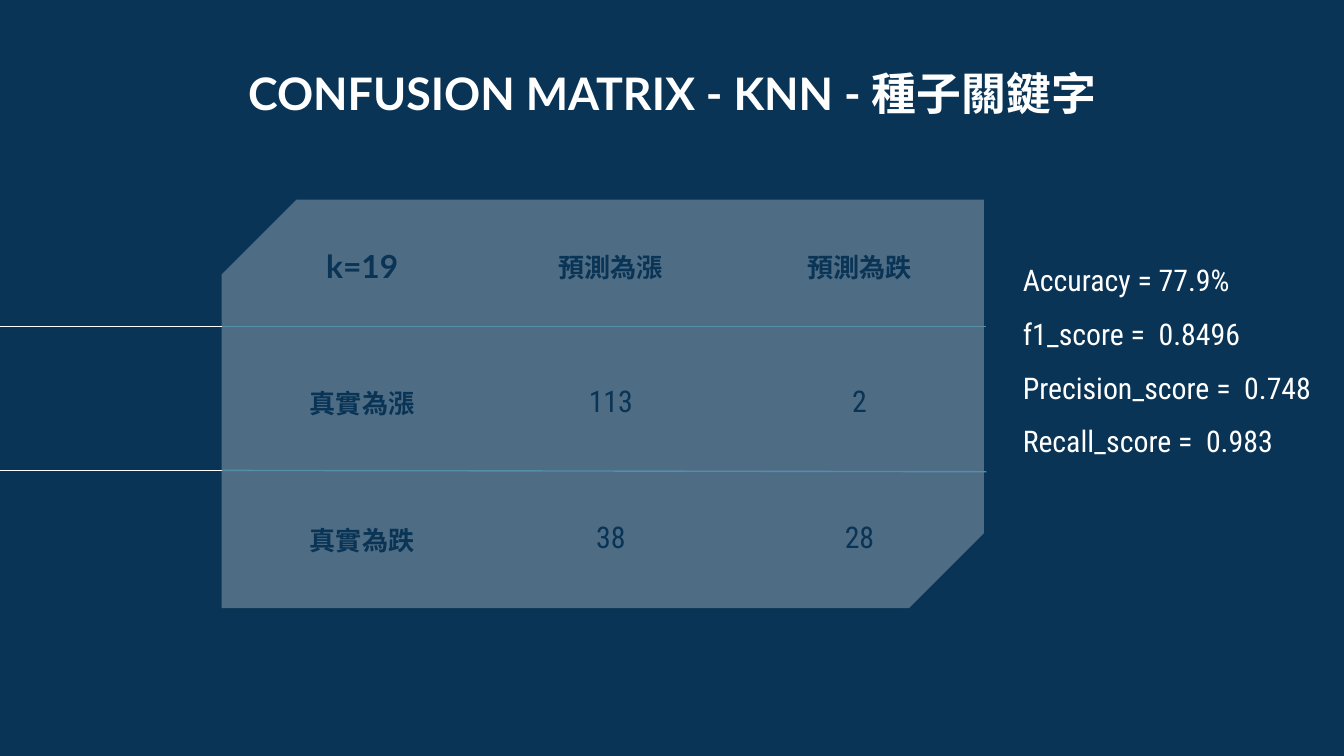
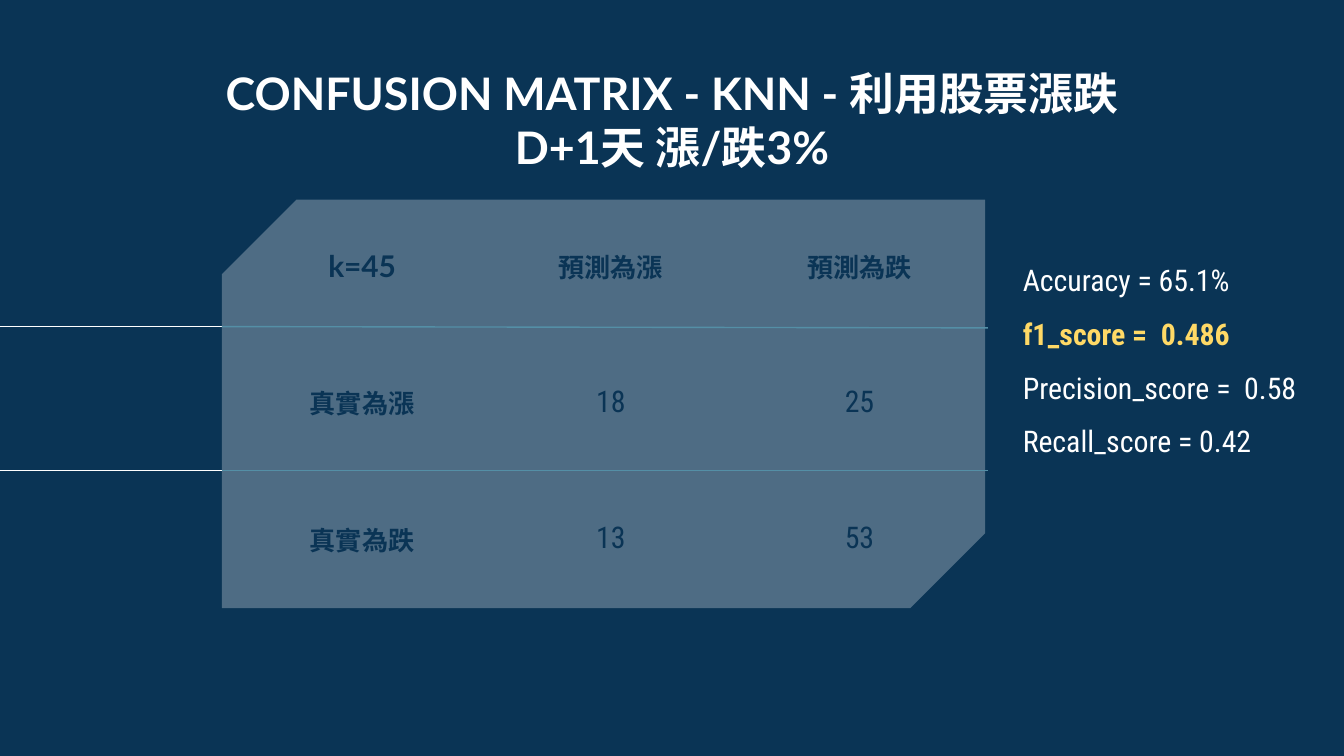
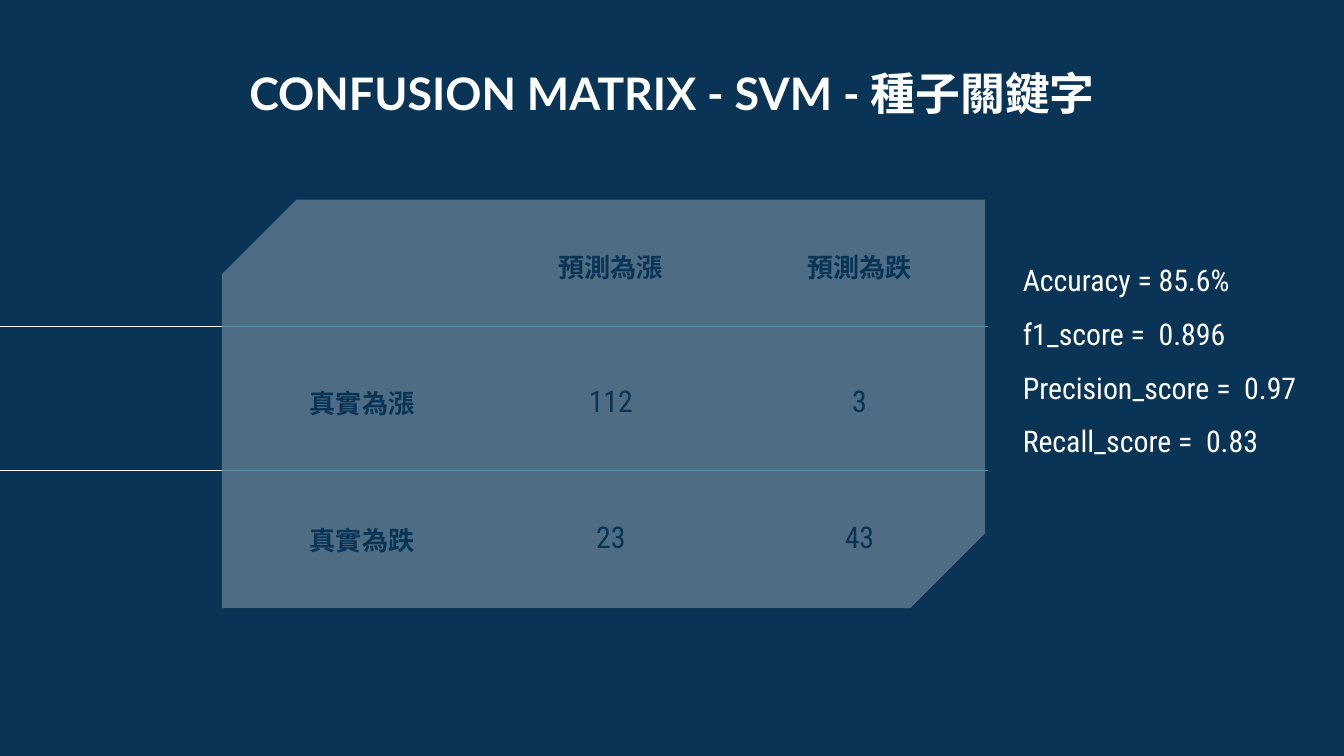
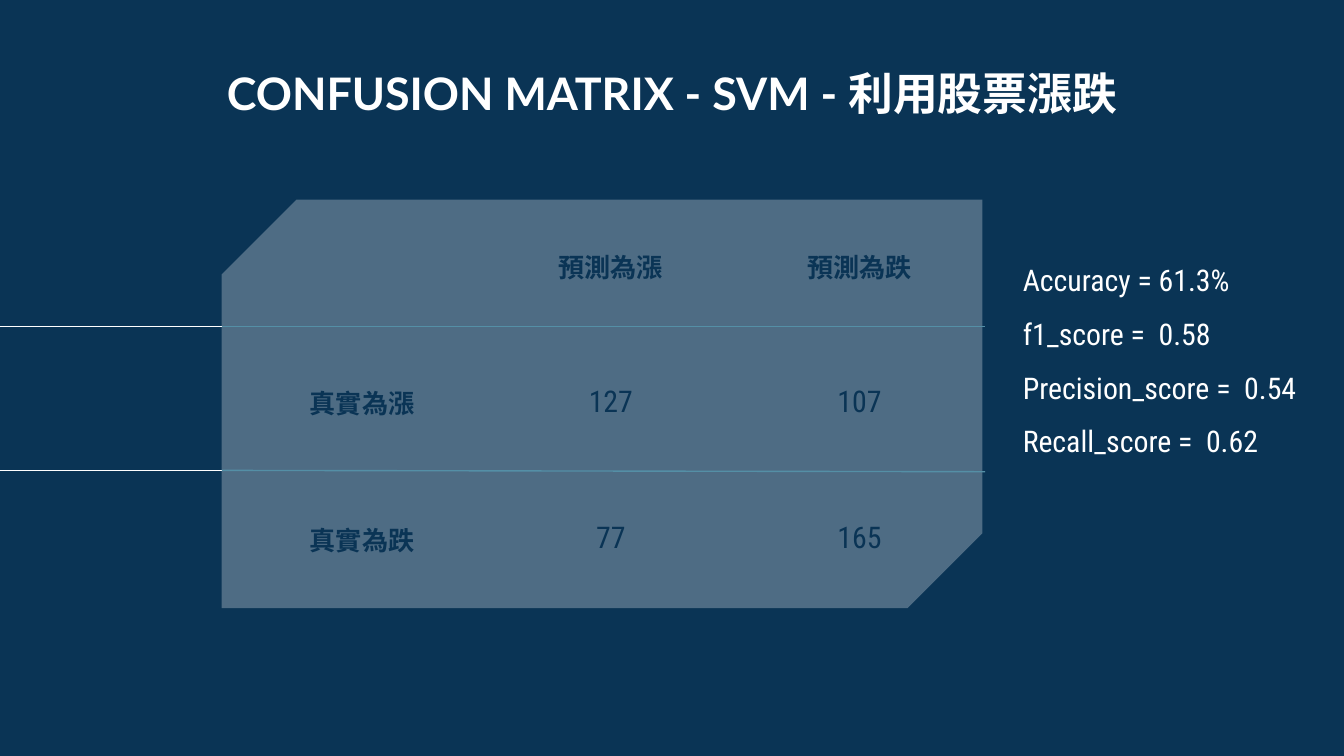
"""Build four confusion-matrix slides for the KNN and SVM classifiers."""
from dataclasses import dataclass

from lxml import etree
from pptx import Presentation
from pptx.dml.color import RGBColor
from pptx.enum.shapes import MSO_CONNECTOR, MSO_SHAPE
from pptx.enum.text import MSO_ANCHOR, MSO_AUTO_SIZE, PP_ALIGN
from pptx.oxml.ns import qn
from pptx.util import Emu, Pt

PX = 4572
SLIDE_W, SLIDE_H = 2000, 1125
INSET = 20

NAVY, WHITE, TEAL, YELLOW = "0A3455", "FFFFFF", "548FA6", "FFD966"
HEAD_FONT, BODY_FONT = "Lato", "Roboto Condensed"
NO_TABLE_STYLE = "{2D5ABB26-0587-4C30-8999-92F81FD0307C}"

STRAIGHT = MSO_CONNECTOR.STRAIGHT
SNIPPED = MSO_SHAPE.SNIP_2_DIAG_RECTANGLE
TOP, MIDDLE = MSO_ANCHOR.TOP, MSO_ANCHOR.MIDDLE
LEFT, CENTER = PP_ALIGN.LEFT, PP_ALIGN.CENTER
NO_AUTOFIT = MSO_AUTO_SIZE.NONE

PANEL_X, PANEL_Y, PANEL_H = 330, 297, 608
TABLE_X, TABLE_Y, COL_W, ROW_H = 354, 294, 370, 203
UPPER_Y, LOWER_Y = 486, 700
RULE_OVERHANG = 4


@dataclass(frozen=True)
class Style:
    size: int
    font: str
    color: str
    bold: bool = False


TITLE = Style(24, HEAD_FONT, WHITE, True)
LABEL = Style(14, HEAD_FONT, NAVY, True)
COUNT = Style(16, BODY_FONT, NAVY)
METRIC = Style(16, BODY_FONT, WHITE)
KEY_METRIC = Style(16, BODY_FONT, YELLOW, True)


@dataclass(frozen=True)
class Matrix:
    title: str
    counts: tuple[tuple[int, int], tuple[int, int]]
    metrics: tuple[str, str, str, str]
    panel_w: int
    corner: str = ""
    corner_size: int = 16
    metrics_w: int = 460
    metrics_h: int = 284
    upper_drop: int = 0
    lower_drop: int = 0
    key_metric: int | None = None


MATRICES = (
    Matrix("CONFUSION MATRIX - KNN - 種子關鍵字", ((113, 2), (38, 28)),
           ("Accuracy = 77.9%", "f1_score =  0.8496",
            "Precision_score =  0.748", "Recall_score =  0.983"),
           1134, corner="k=19", corner_size=17, metrics_w=498, metrics_h=374,
           lower_drop=2),
    Matrix("CONFUSION MATRIX - KNN - 利用股票漲跌\nD+1天 漲/跌3%",
           ((18, 25), (13, 53)),
           ("Accuracy = 65.1%", "f1_score =  0.486",
            "Precision_score =  0.58", "Recall_score = 0.42"),
           1136, corner="k=45", upper_drop=2, key_metric=1),
    Matrix("CONFUSION MATRIX - SVM - 種子關鍵字", ((112, 3), (23, 43)),
           ("Accuracy = 85.6%", "f1_score =  0.896",
            "Precision_score =  0.97", "Recall_score =  0.83"), 1136),
    Matrix("CONFUSION MATRIX - SVM - 利用股票漲跌", ((127, 107), (77, 165)),
           ("Accuracy = 61.3%", "f1_score =  0.58",
            "Precision_score =  0.54", "Recall_score =  0.62"),
           1132, lower_drop=2),
)


def px(*lengths: int) -> list[Emu]:
    return [Emu(n * PX) for n in lengths]


def rgb(color: str) -> RGBColor:
    return RGBColor.from_string(color)


def format_paragraph(p, style: Style, align=CENTER) -> None:
    p.alignment = align
    for r in p.runs:
        r.font.size = Pt(style.size)
        r.font.name = style.font
        r.font.bold = style.bold
        r.font.color.rgb = rgb(style.color)


def set_margins(box) -> None:
    (box.margin_left, box.margin_top,
     box.margin_right, box.margin_bottom) = px(*[INSET] * 4)


def fill_placeholder(sp, box: tuple[int, int, int, int], text: str):
    sp.left, sp.top, sp.width, sp.height = px(*box)
    tf = sp.text_frame
    tf.text = text
    tf.word_wrap = True
    tf.auto_size = NO_AUTOFIT
    tf.vertical_anchor = TOP
    set_margins(tf)
    return tf.paragraphs


def add_title(slide, text: str) -> None:
    for p in fill_placeholder(slide.shapes.title, (0, 78, SLIDE_W, 206), text):
        format_paragraph(p, TITLE)


def add_metrics(slide, matrix: Matrix) -> None:
    box = (1502, 343, matrix.metrics_w, matrix.metrics_h)
    paragraphs = fill_placeholder(slide.placeholders[1], box,
                                  "\n".join(matrix.metrics))
    for i, p in enumerate(paragraphs):
        p.line_spacing = 1.5
        p.space_before = Pt(0)
        style = KEY_METRIC if i == matrix.key_metric else METRIC
        format_paragraph(p, style, LEFT)


def add_panel(slide, width: int) -> None:
    sp = slide.shapes.add_shape(SNIPPED, *px(PANEL_X, PANEL_Y, width, PANEL_H))
    sp.shadow.inherit = False
    sp.adjustments[0], sp.adjustments[1] = 0.183, 0
    sp.fill.solid()
    sp.fill.fore_color.rgb = rgb(WHITE)
    color = sp._element.spPr.find(".//" + qn("a:srgbClr"))
    etree.SubElement(color, qn("a:alpha"), val="28000")
    sp.line.fill.background()


def clear_cell(cell) -> None:
    cell.fill.background()
    tc_pr = cell._tc.get_or_add_tcPr()
    for i, side in enumerate(("lnL", "lnR", "lnT", "lnB")):
        border = etree.Element(qn("a:" + side))
        etree.SubElement(border, qn("a:noFill"))
        tc_pr.insert(i, border)


def add_matrix_table(slide, matrix: Matrix) -> None:
    actual_up, actual_down = matrix.counts
    rows = ((matrix.corner, "預測為漲", "預測為跌"),
            ("真實為漲", *actual_up), ("真實為跌", *actual_down))
    frame = slide.shapes.add_table(
        3, 3, *px(TABLE_X, TABLE_Y, 3 * COL_W, 3 * ROW_H))
    table = frame.table
    table.first_row = table.horz_banding = False
    table._tbl.tblPr.find(qn("a:tableStyleId")).text = NO_TABLE_STYLE
    corner_style = Style(matrix.corner_size, HEAD_FONT, NAVY, True)
    for i, row in enumerate(rows):
        for j, value in enumerate(row):
            cell = table.cell(i, j)
            clear_cell(cell)
            cell.vertical_anchor = MIDDLE
            set_margins(cell)
            cell.text_frame.text = str(value)
            style = COUNT if i and j else LABEL if i or j else corner_style
            format_paragraph(cell.text_frame.paragraphs[0], style)


def add_rule(slide, start: tuple[int, int], end: tuple[int, int],
             color: str) -> None:
    line = slide.shapes.add_connector(STRAIGHT, *px(*start, *end))
    line.line.color.rgb = rgb(color)
    line.line.width = Pt(0.75)
    etree.SubElement(line._element.spPr, qn("a:effectLst"))


def add_row_rules(slide, matrix: Matrix) -> None:
    right = PANEL_X + matrix.panel_w + RULE_OVERHANG
    for y, drop in ((LOWER_Y, matrix.lower_drop), (UPPER_Y, matrix.upper_drop)):
        add_rule(slide, (PANEL_X, y), (0, y), WHITE)
        add_rule(slide, (PANEL_X, y), (right, y + drop), TEAL)


def add_matrix_slide(prs, matrix: Matrix) -> None:
    slide = prs.slides.add_slide(prs.slide_layouts[0])
    add_panel(slide, matrix.panel_w)
    add_title(slide, matrix.title)
    add_matrix_table(slide, matrix)
    add_row_rules(slide, matrix)
    add_metrics(slide, matrix)


def main() -> None:
    prs = Presentation()
    prs.slide_width, prs.slide_height = px(SLIDE_W, SLIDE_H)
    background = prs.slide_master.background.fill
    background.solid()
    background.fore_color.rgb = rgb(NAVY)
    for matrix in MATRICES:
        add_matrix_slide(prs, matrix)
    prs.save("out.pptx")


if __name__ == "__main__":
    main()
